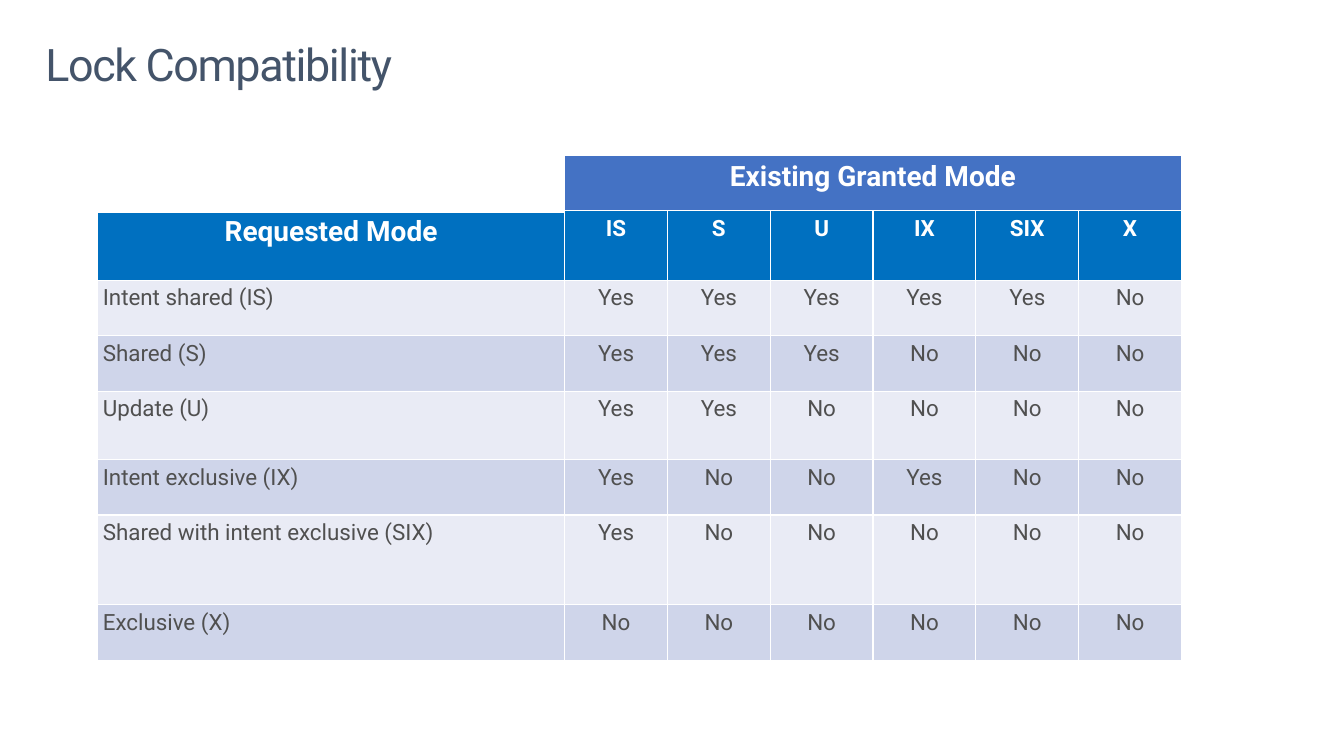
from dataclasses import dataclass

from lxml.etree import SubElement
from pptx import Presentation
from pptx.dml.color import RGBColor
from pptx.enum.text import PP_ALIGN
from pptx.oxml.ns import qn
from pptx.util import Inches, Pt


@dataclass(frozen=True)
class Theme:
    font: str = "Roboto"
    title: str = "44546A"
    body: str = "505050"
    white: str = "FFFFFF"
    group: str = "4472C4"
    header: str = "0070C0"
    bands: tuple = ("E9EBF5", "CFD5EA")
    title_size: int = 32
    head_size: int = 20
    cell_size: int = 16


THEME = Theme()
MODES = ["IS", "S", "U", "IX", "SIX", "X"]
# Requested mode, row height, existing modes it is compatible with
REQUESTS = [
    ("Intent shared (IS)", 0.55, {"IS", "S", "U", "IX", "SIX"}),
    ("Shared (S)", 0.55, {"IS", "S", "U"}),
    ("Update (U)", 0.68, {"IS", "S"}),
    ("Intent exclusive (IX)", 0.55, {"IS", "IX"}),
    ("Shared with intent exclusive (SIX)", 0.89, {"IS"}),
    ("Exclusive (X)", 0.55, set()),
]
HEADER_HEIGHTS = [0.55, 0.69]
LABEL_WIDTH, MODE_WIDTH = 4.63, 1.02


def write(tf, text, size=THEME.cell_size, color=THEME.body, bold=False,
          align=PP_ALIGN.LEFT, line_spacing=None, tracking=None):
    p = tf.paragraphs[0]
    p.alignment = align
    if line_spacing:
        p.line_spacing = line_spacing
    r = p.add_run()
    r.text = text
    f = r.font
    f.name, f.size, f.bold = THEME.font, Pt(size), bold
    f.color.rgb = RGBColor.from_string(color)
    if tracking:
        r._r.get_or_add_rPr().set("spc", str(round(tracking * 100)))


def set_borders(cell, **widths):
    tcPr = cell._tc.get_or_add_tcPr()
    for side in "LRTB":
        ln = SubElement(tcPr, qn(f"a:ln{side}"), w=str(Pt(widths.get(side, 1))))
        fill = SubElement(ln, qn("a:solidFill"))
        SubElement(fill, qn("a:srgbClr"), val=THEME.white)


def style_cell(cell, fill=None, **borders):
    set_borders(cell, **borders)
    cell.margin_left = cell.margin_right = Inches(0.05)
    cell.margin_top = cell.margin_bottom = Inches(0.05)
    if fill:
        cell.fill.solid()
        cell.fill.fore_color.rgb = RGBColor.from_string(fill)
    else:
        cell.fill.background()


def add_title(slide, text):
    sp = slide.shapes.add_textbox(Inches(0.29), Inches(0.32), Inches(12.75), Inches(0.98))
    tf = sp.text_frame
    tf.word_wrap = True
    tf.margin_left = tf.margin_right = Inches(0.16)
    tf.margin_top = tf.margin_bottom = Inches(0.1)
    write(tf, text, size=THEME.title_size, color=THEME.title,
          line_spacing=0.9, tracking=-1)


def add_lock_table(slide):
    heights = HEADER_HEIGHTS + [height for _, height, _ in REQUESTS]
    widths = [LABEL_WIDTH] + [MODE_WIDTH] * len(MODES)
    table = slide.shapes.add_table(
        len(heights), len(widths), Inches(0.97), Inches(1.54),
        Inches(sum(widths)), Inches(sum(heights))).table
    table.first_row = table.horz_banding = False
    for row, height in zip(table.rows, heights):
        row.height = Inches(height)
    for column, width in zip(table.columns, widths):
        column.width = Inches(width)

    # Header rows
    heading = dict(color=THEME.white, bold=True, align=PP_ALIGN.CENTER)
    style_cell(table.cell(0, 0), B=3)
    for c in range(1, len(widths)):
        style_cell(table.cell(0, c), THEME.group)
    table.cell(0, 1).merge(table.cell(0, len(MODES)))
    write(table.cell(0, 1).text_frame, "Existing Granted Mode",
          size=THEME.head_size, **heading)
    style_cell(table.cell(1, 0), THEME.header, T=3)
    write(table.cell(1, 0).text_frame, "Requested Mode",
          size=THEME.head_size, **heading)
    for c, mode in enumerate(MODES, 1):
        style_cell(table.cell(1, c), THEME.header)
        write(table.cell(1, c).text_frame, mode, **heading)

    # Compatibility rows
    for i, (label, _, compatible) in enumerate(REQUESTS):
        answers = ["Yes" if mode in compatible else "No" for mode in MODES]
        for c, text in enumerate([label] + answers):
            cell = table.cell(i + len(HEADER_HEIGHTS), c)
            style_cell(cell, THEME.bands[i % 2])
            write(cell.text_frame, text,
                  align=PP_ALIGN.CENTER if c else PP_ALIGN.LEFT)


def main():
    prs = Presentation()
    prs.slide_width, prs.slide_height = Inches(13.33), Inches(7.5)
    slide = prs.slides.add_slide(prs.slide_layouts[6])
    add_title(slide, "Lock Compatibility")
    add_lock_table(slide)
    prs.save("out.pptx")


if __name__ == "__main__":
    main()
